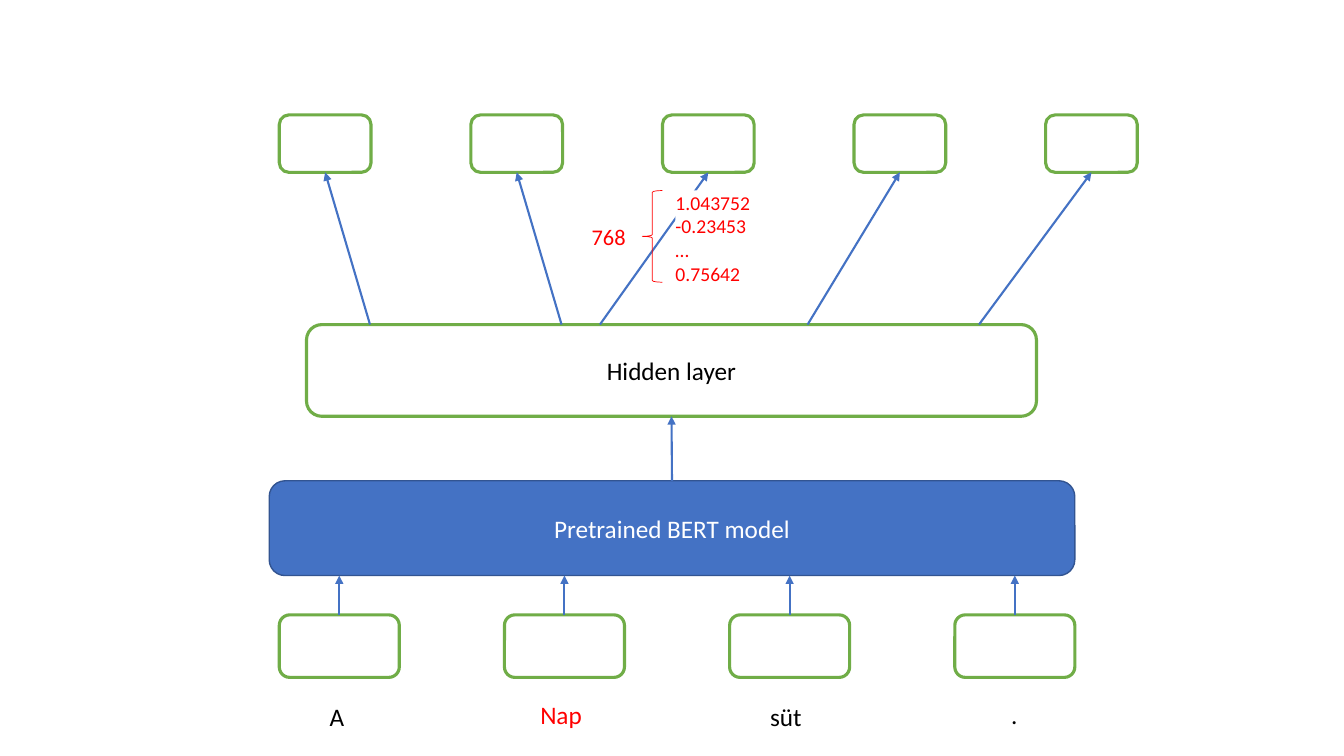
import pptx
import pptx.util
import pptx.dml.color
import pptx.enum.shapes
import pptx.enum.text
import pptx.oxml
import pptx.oxml.ns
from pptx.util import Inches

COLORS = {
    "blue": "4472C4",
    "navy": "325491",
    "green": "70AD47",
    "red": "FF0000",
    "white": "FFFFFF",
    "black": "000000",
}
SHAPES = pptx.enum.shapes.MSO_SHAPE
ANCHOR = pptx.enum.text.MSO_ANCHOR
ALIGN = pptx.enum.text.PP_ALIGN
TOP, BOTTOM = 0, 2


def rgb(name):
    return pptx.dml.color.RGBColor.from_string(COLORS[name])


def write(shape, text, size=18, color="black", align=ALIGN.LEFT,
          anchor=ANCHOR.TOP, inset=None, grow=False):
    frame = shape.text_frame
    frame.word_wrap = True
    frame.vertical_anchor = anchor
    if grow:
        frame.auto_size = pptx.enum.text.MSO_AUTO_SIZE.SHAPE_TO_FIT_TEXT
    if inset is not None:
        frame.margin_left = frame.margin_right = Inches(inset)
        frame.margin_top = frame.margin_bottom = Inches(inset)
    for index, line in enumerate(text.split("\n")):
        para = frame.add_paragraph() if index else frame.paragraphs[0]
        para.alignment = align
        span = para.add_run()
        span.text = line
        span.font.name = "Calibri"
        span.font.size = pptx.util.Pt(size)
        span.font.color.rgb = rgb(color)


def add_box(page, left, top, width, height, kind=SHAPES.ROUNDED_RECTANGLE,
            fill="white", line="green", weight=2.25):
    box = page.shapes.add_shape(
        kind, Inches(left), Inches(top), Inches(width), Inches(height))
    box.shadow.inherit = False
    if fill:
        box.fill.solid()
        box.fill.fore_color.rgb = rgb(fill)
    else:
        box.fill.background()
    if line:
        box.line.color.rgb = rgb(line)
        box.line.width = pptx.util.Pt(weight)
    else:
        box.line.fill.background()
    return box


def add_label(page, text, left, top, width, height, **style):
    label = page.shapes.add_textbox(
        Inches(left), Inches(top), Inches(width), Inches(height))
    write(label, text, grow=True, **style)


def add_arrow(page, start, end, source=None, target=None):
    arrow = page.shapes.add_connector(
        pptx.enum.shapes.MSO_CONNECTOR.STRAIGHT,
        *(Inches(length) for length in start + end))
    if source is not None:
        arrow.begin_connect(source, TOP)
    if target is not None:
        arrow.end_connect(target, BOTTOM)
    arrow.line.color.rgb = rgb("blue")
    arrow.line.width = pptx.util.Pt(1.5)
    pptx.oxml.ns.qn("a:tailEnd")
    properties = arrow.line._get_or_add_ln()
    namespace = pptx.oxml.ns.nsdecls("a")
    properties.append(pptx.oxml.parse_xml(f'<a:tailEnd {namespace} type="triangle"/>'))
    arrow._element.spPr.append(pptx.oxml.parse_xml(f"<a:effectLst {namespace}/>"))


def add_inputs(page):
    captions = [
        ("A", 3.17, 6.91, 0.38, "black"),
        ("Nap", 5.26, 6.89, 0.68, "red"),
        ("süt", 7.54, 6.91, 0.8, "black"),
        (".", 9.93, 6.89, 0.59, "black"),
    ]
    for index, (word, left, top, width, color) in enumerate(captions):
        token_left = 2.77 + index * 6.7 / 3
        token = add_box(page, token_left, 6.1, 1.19, 0.62)
        add_label(page, word, left, top, width, 0.4, color=color)
        center = token_left + 0.595
        add_arrow(page, (center, 6.1), (center, 5.71), source=token)


def add_outputs(page):
    for index, start in enumerate([3.67, 5.57, 5.95, 8.01, 9.71]):
        left = 2.77 + index * 1.9
        output = add_box(page, left, 1.14, 0.91, 0.57)
        add_arrow(page, (start, 3.22), (left + 0.455, 1.71), target=output)


def add_vector(page):
    vector = add_box(page, 6.7, 1.89, 1.07, 0.94, kind=SHAPES.RECTANGLE, line=None)
    write(vector, "1.043752\n-0.23453\n…\n0.75642", size=14, color="red",
          anchor=ANCHOR.MIDDLE, inset=0, grow=True)
    add_box(page, 6.37, 1.89, 0.2, 0.91, kind=SHAPES.LEFT_BRACE,
            fill=None, line="red", weight=0.5)
    add_label(page, "768", 5.77, 2.16, 0.6, 0.37, size=16, color="red")


def main():
    deck = pptx.Presentation()
    deck.slide_width = Inches(13.33)
    deck.slide_height = Inches(7.5)
    page = deck.slides.add_slide(deck.slide_layouts[6])

    model = add_box(page, 2.67, 4.77, 7.99, 0.94, fill="blue", line="navy", weight=1)
    write(model, "Pretrained BERT model", color="white",
          align=ALIGN.CENTER, anchor=ANCHOR.MIDDLE)
    add_inputs(page)
    hidden = add_box(page, 3.04, 3.22, 7.24, 0.91)
    write(hidden, "Hidden layer", align=ALIGN.CENTER, anchor=ANCHOR.MIDDLE)
    add_arrow(page, (6.67, 4.77), (6.67, 4.13), source=model, target=hidden)
    add_outputs(page)
    add_vector(page)
    deck.save("out.pptx")


if __name__ == "__main__":
    main()
